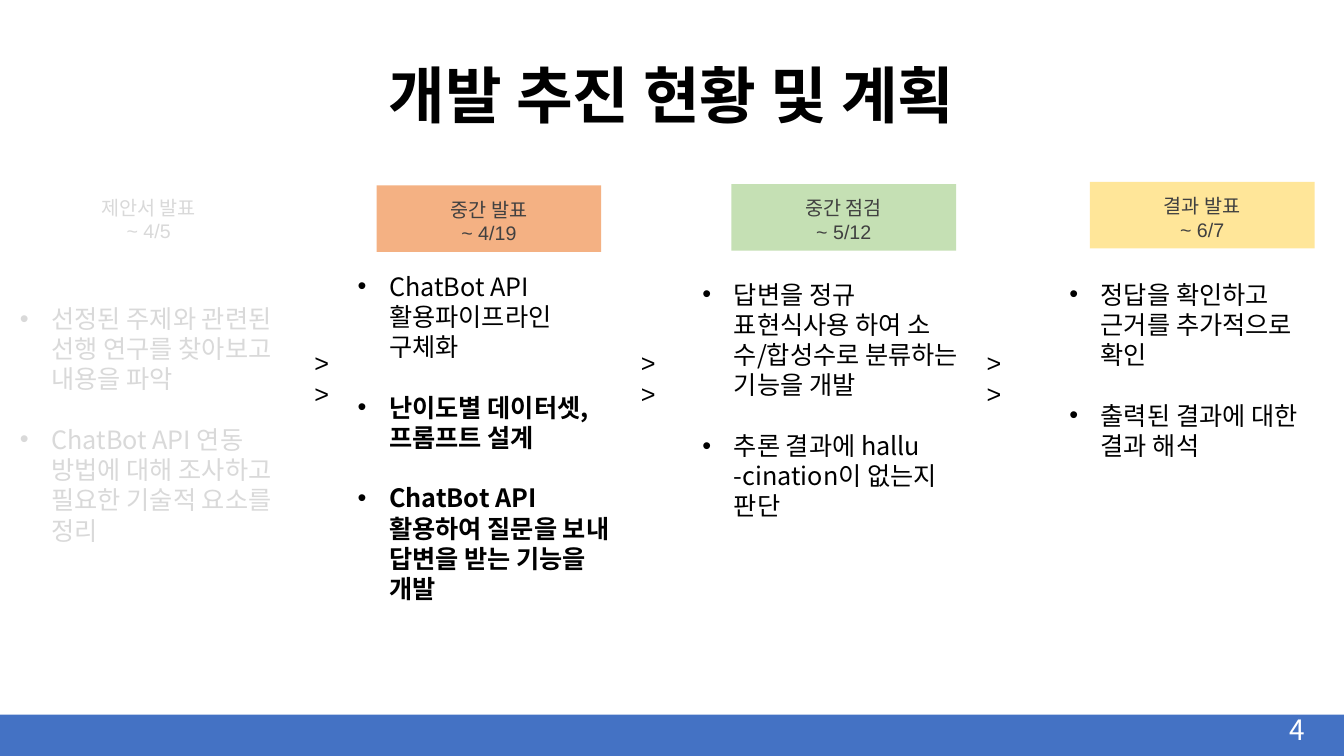
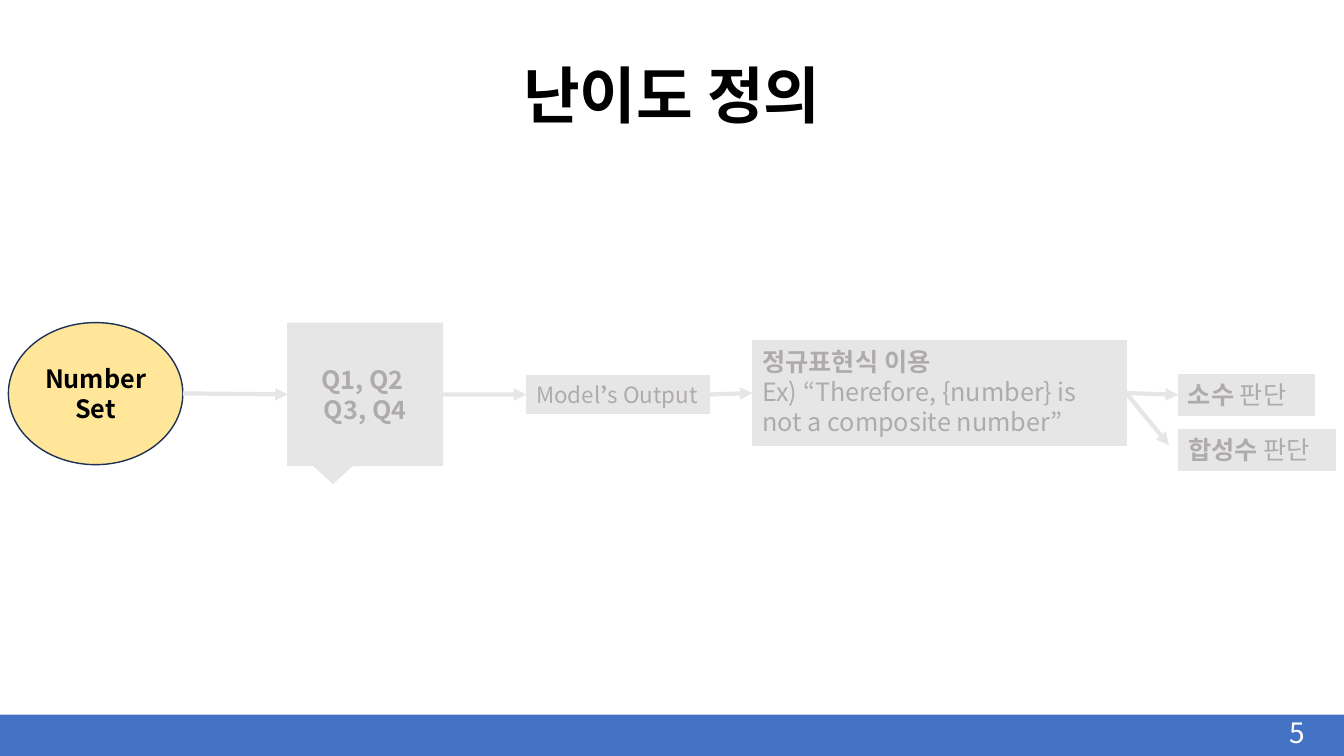
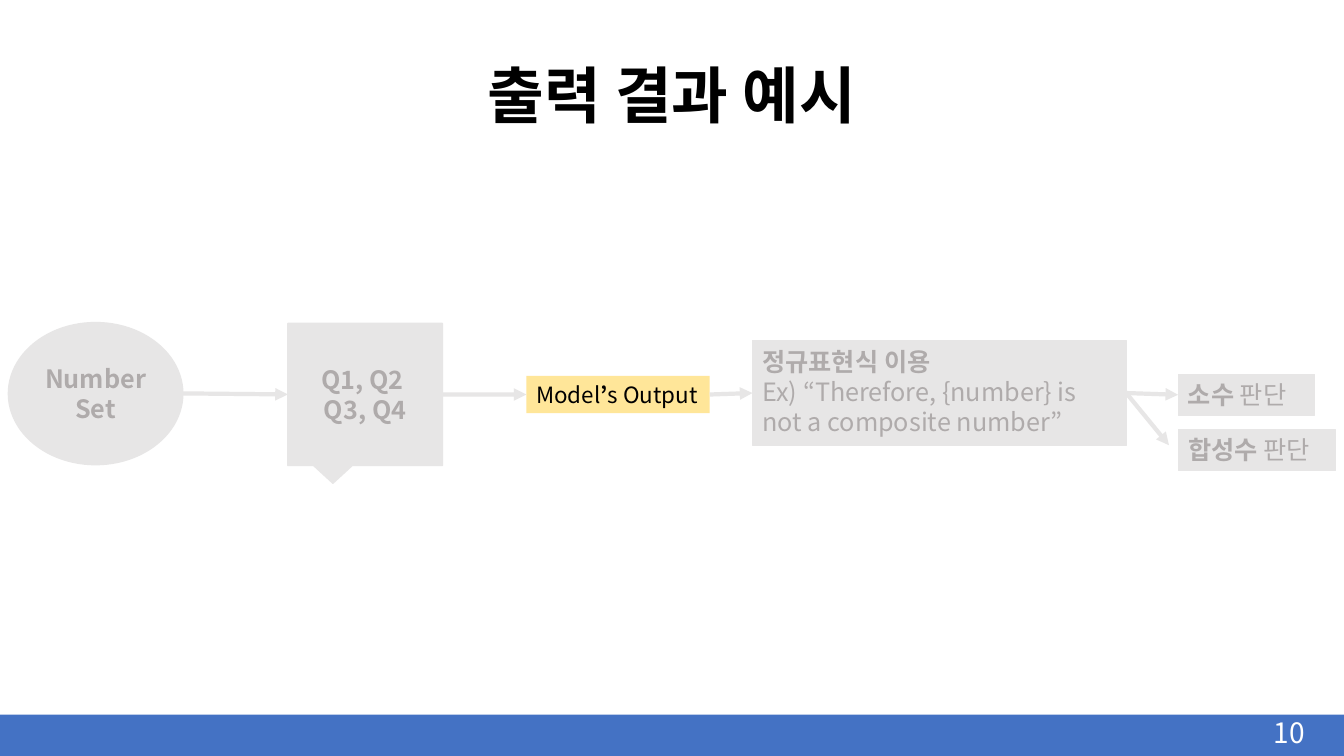
from dataclasses import dataclass

from lxml import etree
from pptx import Presentation
from pptx.dml.color import RGBColor
from pptx.enum.shapes import MSO_CONNECTOR, MSO_SHAPE
from pptx.enum.text import MSO_ANCHOR, PP_ALIGN
from pptx.oxml.ns import qn
from pptx.util import Pt

RECT, OVAL, CALLOUT = MSO_SHAPE.RECTANGLE, MSO_SHAPE.OVAL, MSO_SHAPE.RECTANGULAR_CALLOUT
STRAIGHT = MSO_CONNECTOR.STRAIGHT
LEFT, CENTER, RIGHT = PP_ALIGN.LEFT, PP_ALIGN.CENTER, PP_ALIGN.RIGHT
TOP, MIDDLE, BOTTOM = MSO_ANCHOR.TOP, MSO_ANCHOR.MIDDLE, MSO_ANCHOR.BOTTOM
SIDE_LEFT, SIDE_RIGHT = 1, 3


@dataclass(frozen=True)
class Theme:
    korean: str = "Noto Sans CJK KR"
    latin: str = "Arial"
    black: str = "000000"
    white: str = "FFFFFF"
    band: str = "4472C4"
    label: str = "404040"
    done: str = "D9D9D9"
    orange: str = "F4B183"
    green: str = "C5E0B4"
    yellow: str = "FFE699"
    navy: str = "1E3256"
    muted: str = "E7E6E6"
    muted_text: str = "AFABAB"
    title_size: float = 44
    page_size: float = 20
    body_size: float = 18
    output_size: float = 16
    label_size: float = 14


THEME = Theme()
WIDTH, HEIGHT = 960, 540
HEADER_SIZE = (160.5, 47.5)
BULLET_INDENT, BULLET_GAP = 22.5, 21.6


def rgb(code):
    return RGBColor.from_string(code)


def write(shape, paragraphs, *, size=THEME.body_size, color=THEME.black, bold=False,
          font=THEME.korean, align=LEFT, anchor=TOP, wrap=True, bullets=False,
          spacing=None, top_inset=3.6):
    """Each paragraph is a string or a list of (text, bold) runs."""
    frame = shape.text_frame
    frame.word_wrap, frame.vertical_anchor = wrap, anchor
    frame.margin_top = Pt(top_inset)
    for index, content in enumerate(paragraphs):
        paragraph = frame.paragraphs[0] if index == 0 else frame.add_paragraph()
        paragraph.alignment = align
        if spacing:
            paragraph.line_spacing = spacing
        if bullets:
            add_bullet(paragraph, BULLET_GAP if index else 0)
        runs = [(content, bold)] if isinstance(content, str) else content
        for text, run_bold in runs:
            run = paragraph.add_run()
            run.text = text
            run.font.size, run.font.bold = Pt(size), run_bold
            run.font.color.rgb = rgb(color)
            run.font.name = font
            east_asian = etree.SubElement(run.font._element, qn("a:ea"))
            east_asian.set("typeface", THEME.korean)


def add_bullet(paragraph, gap):
    paragraph.space_before = Pt(gap)
    properties = paragraph._p.get_or_add_pPr()
    properties.set("marL", str(Pt(BULLET_INDENT)))
    properties.set("indent", str(-Pt(BULLET_INDENT)))
    etree.SubElement(properties, qn("a:buFont")).set("typeface", THEME.latin)
    etree.SubElement(properties, qn("a:buChar")).set("char", "•")


def text_box(slide, box, paragraphs, **text_format):
    area = slide.shapes.add_textbox(*map(Pt, box))
    write(area, paragraphs, **text_format)


def block(slide, kind, box, fill, line=None, line_width=0.75):
    shape = slide.shapes.add_shape(kind, *map(Pt, box))
    shape.shadow.inherit = False
    shape.fill.solid()
    shape.fill.fore_color.rgb = rgb(fill)
    if line:
        shape.line.color.rgb = rgb(line)
        shape.line.width = Pt(line_width)
    else:
        shape.line.fill.background()
    return shape


def arrow(slide, start, end, source=None, target=None):
    """Draw from start to end, joined to the sides of source and target."""
    connector = slide.shapes.add_connector(STRAIGHT, *map(Pt, start + end))
    if source is not None:
        connector.begin_connect(source, SIDE_RIGHT)
    if target is not None:
        connector.end_connect(target, SIDE_LEFT)
    connector.line.color.rgb = rgb(THEME.muted)
    connector.line.width = Pt(3)
    etree.SubElement(connector.line._get_or_add_ln(), qn("a:tailEnd")).set("type", "triangle")
    etree.SubElement(connector._element.spPr, qn("a:effectLst"))


def new_slide(deck, title, page, page_box):
    """Blank slide with the shared title, bottom band and page number."""
    slide = deck.slides.add_slide(deck.slide_layouts[6])
    text_box(slide, (120, 22.5, 720, 75), [title], size=THEME.title_size, bold=True,
             align=CENTER, anchor=BOTTOM, spacing=0.9)
    block(slide, RECT, (0, 510.5, WIDTH, 29.5), THEME.band)
    text_box(slide, page_box, [page], size=THEME.page_size, color=THEME.white,
             align=RIGHT, anchor=MIDDLE)
    return slide


def stage(slide, header_at, fill, label, body_box, tasks, label_color, body_color):
    """One column of the plan: header with a date, tasks below."""
    header_box = header_at + HEADER_SIZE
    label_format = dict(size=THEME.label_size, color=label_color, font=THEME.latin,
                        align=CENTER, anchor=MIDDLE, top_inset=7.2)
    if fill:
        write(block(slide, RECT, header_box, fill), label, **label_format)
    else:
        text_box(slide, header_box, label, **label_format)
    text_box(slide, body_box, tasks, color=body_color, bullets=True)


def plan_slide(deck):
    slide = new_slide(deck, "개발 추진 현황 및 계획", "4", (886.5, 506, 52.5, 29.5))
    active = (THEME.label, THEME.black)
    stage(slide, (26, 131), None, ["제안서 발표", "~ 4/5"], (7.2, 213, 196, 204),
          ["선정된 주제와 관련된 선행 연구를 찾아보고 내용을 파악",
           "ChatBot API 연동 방법에 대해 조사하고 필요한 기술적 요소를 정리"],
          THEME.done, THEME.done)
    stage(slide, (269, 132.5), THEME.orange, ["중간 발표", "~ 4/19"], (248.4, 190, 202.3, 225),
          ["ChatBot API 활용파이프라인 구체화",
           [("난이도별 데이터셋, 프롬프트 설계", True)],
           [("ChatBot API 활용하여 질문을 보내 답변을 받는 기능을 개발", True)]], *active)
    stage(slide, (522.5, 131.5), THEME.green, ["중간 점검", "~ 5/12"], (494.6, 195.8, 202.3, 181),
          ["답변을 정규 표현식사용 하여 소수/합성수로 분류하는 기능을 개발",
           "추론 결과에 hallu -cination이 없는지 판단"], *active)
    stage(slide, (778.5, 130), THEME.yellow, ["결과 발표", "~ 6/7"], (756.7, 195.8, 202.3, 138),
          ["정답을 확인하고 근거를 추가적으로 확인", "출력된 결과에 대한 결과 해석"], *active)
    # Marks between the stages
    for left in (217.5, 450.7, 697.7):
        text_box(slide, (left, 244.8, 31, 51), [">>"], font=THEME.latin)


def pipeline_slide(deck, title, page, highlight):
    """Pipeline with one highlighted step and the others muted."""
    slide = new_slide(deck, title, page, (890, 510.5, 49, 25))

    def step(key, kind, box, paragraphs, line_width=0.75, active_line=None, **text_format):
        active = key == highlight
        shape = block(slide, kind, box, THEME.yellow if active else THEME.muted,
                      active_line if active else THEME.muted, line_width)
        write(shape, paragraphs, color=THEME.black if active else THEME.muted_text,
              **text_format)
        return shape

    # Steps
    centered = dict(line_width=1, bold=True, align=CENTER, anchor=MIDDLE)
    step("numbers", OVAL, (6, 230.4, 124.6, 101.5), ["Number", "Set"],
         active_line=THEME.navy, **centered)
    questions = step("questions", CALLOUT, (205.6, 231, 110.4, 101.5),
                     ["Q1, Q2 ", "Q3, Q4"], **centered)
    output = step("output", RECT, (376, 268.5, 131, 26.6),
                  [[("Model", False), ("’", True), ("s Output", False)]],
                  size=THEME.output_size, wrap=False)
    pattern = step("pattern", RECT, (537.5, 243.5, 267, 74.5),
                   [[("정규표현식 이용", True)],
                    "Ex) “Therefore, {number} is not a composite number”"])
    prime = step("prime", RECT, (841.5, 267.5, 97.5, 29),
                 [[("소수", True), (" 판단", False)]])
    step("composite", RECT, (841.5, 307, 112.5, 29),
         [[("합성수", True), (" 판단", False)]])

    # Flow
    arrow(slide, (130.6, 281), (205.6, 282), target=questions)
    arrow(slide, (316, 282), (376, 282), questions, output)
    arrow(slide, (507, 282), (537.5, 281), output, pattern)
    arrow(slide, (804.5, 281), (841.5, 282), pattern, prime)
    arrow(slide, (804.5, 281), (835, 318), pattern)


def main():
    deck = Presentation()
    deck.slide_width, deck.slide_height = Pt(WIDTH), Pt(HEIGHT)
    plan_slide(deck)
    pipeline_slide(deck, "난이도 정의", "5", "numbers")
    pipeline_slide(deck, "출력 결과 예시", "10", "output")
    deck.save("out.pptx")


if __name__ == "__main__":
    main()
